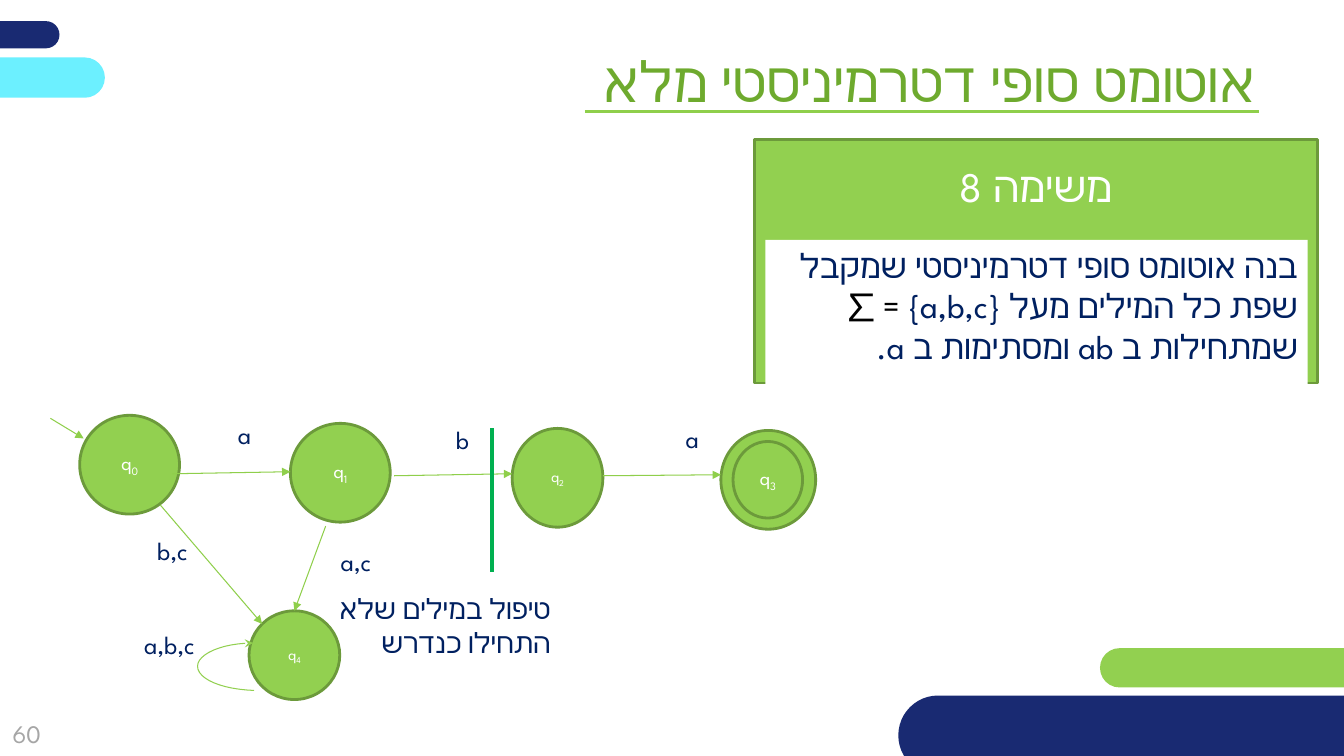
import pptx
import pptx.util
import pptx.dml.color
import pptx.enum.shapes
import pptx.enum.text
import pptx.oxml
import pptx.oxml.ns

Inches, Pt = pptx.util.Inches, pptx.util.Pt
RGB = pptx.dml.color.RGBColor
PRESET = pptx.enum.shapes.MSO_SHAPE
ALIGN = pptx.enum.text.PP_ALIGN
ANCHOR = pptx.enum.text.MSO_ANCHOR

FONT = "League Spartan"
NAVY, CYAN, GREEN = RGB(0x19, 0x2A, 0x72), RGB(0x6C, 0xF0, 0xFF), RGB(0x92, 0xD0, 0x50)
OUTLINE, ARROW, DIVIDER = RGB(0x6C, 0x9A, 0x3B), RGB(0x8F, 0xCF, 0x4B), RGB(0x00, 0xB0, 0x50)
TITLE, INK, GREY = RGB(0x6E, 0xAA, 0x2E), RGB(0x00, 0x20, 0x60), RGB(0xA6, 0xA6, 0xA6)
WHITE, BLACK = RGB(0xFF, 0xFF, 0xFF), RGB(0, 0, 0)

# Content: boxes are left, top, width, height in inches
HEADING = "אוטומט סופי דטרמיניסטי מלא"
TASK_NAME = "משימה 8"
TASK = [
    ("בנה אוטומט סופי דטרמיניסטי שמקבל שפת כל המילים מעל {a,b,c} ", INK),
    ("= ∑ ", BLACK),
    ("שמתחילות ב ab ומסתימות ב a.", INK),
]
NOTE = "טיפול במילים שלא התחילו כנדרש"
PAGE = "60"

BARS = [
    ((-2.66, 0.21, 3.25, 0.27), NAVY),
    ((10.91, 6.43, 5.21, 0.39), GREEN),
    ((-2.21, 0.57, 3.25, 0.4), CYAN),
    ((8.91, 6.9, 5.66, 0.79), NAVY),
]
# Index, box, text size; the accepting state has an outer ring without text
STATES = [
    ("", (7.15, 4.27, 0.94, 0.98), 14),
    ("0", (0.79, 4.12, 0.99, 0.98), 14),
    ("1", (2.88, 4.2, 0.99, 0.98), 14),
    ("2", (5.08, 4.25, 0.9, 0.98), 11),
    ("3", (7.27, 4.38, 0.69, 0.76), 14),
    ("4", (2.47, 6.06, 0.9, 0.88), 11),
]
TRANSITIONS = [
    ((0.5, 4.15), (0.83, 4.35)),
    ((1.71, 4.7), (2.88, 4.68)),
    ((3.91, 4.72), (5.08, 4.7)),
    ((5.98, 4.72), (7.15, 4.71)),
    ((1.59, 5.01), (2.6, 6.19)),
    ((3.23, 5.22), (2.92, 6.06)),
]
LABELS = [
    ("a", (2.12, 4.11, 0.47, 0.56)),
    ("b", (4.13, 4.16, 0.62, 0.56)),
    ("a", (6.27, 4.15, 0.76, 0.56)),
    ("b,c", (0.59, 5.26, 1.37, 0.56)),
    ("a,c", (2.41, 5.37, 1.37, 0.56)),
    ("a,b,c", (0.66, 6.19, 1.37, 0.56)),
]
# The loop on q4: two cubic curves
LOOP = [
    ((2.51, 6.38), (2.2, 6.38), (1.96, 6.49), (1.96, 6.61)),
    ((1.96, 6.61), (1.96, 6.74), (2.21, 6.84), (2.52, 6.85)),
]
LOOP_STEPS = 12

deck = pptx.Presentation()
deck.slide_width, deck.slide_height = Inches(13.33), Inches(7.5)
slide = deck.slides.add_slide(deck.slide_layouts[5])
shapes = slide.shapes


def inches(values):
    return [Inches(value) for value in values]


def add_run(paragraph, text, size, color):
    run = paragraph.add_run()
    run.text = text
    run.font.name, run.font.size = FONT, Pt(size)
    run.font.color.rgb = color
    script_font = pptx.oxml.parse_xml(
        f'<a:cs {pptx.oxml.ns.nsdecls("a")} typeface="{FONT}"/>')
    run.font._element.append(script_font)
    return run


def write(shape, parts, size, align=ALIGN.RIGHT, anchor=ANCHOR.TOP, rtl=True):
    frame = shape.text_frame
    frame.word_wrap, frame.vertical_anchor = True, anchor
    frame.auto_size = pptx.enum.text.MSO_AUTO_SIZE.NONE
    paragraph = frame.paragraphs[0]
    paragraph.alignment = align
    if rtl:
        paragraph._p.get_or_add_pPr().set("rtl", "1")
    return [add_run(paragraph, text, size, color) for text, color in parts]


def add_box(preset, box, fill, outline=None):
    shape = shapes.add_shape(preset, *inches(box))
    shape.shadow.inherit = False
    shape.fill.solid()
    shape.fill.fore_color.rgb = fill
    if outline:
        shape.line.color.rgb, shape.line.width = outline, Pt(2)
    else:
        shape.line.fill.background()
    return shape


def add_arrowhead(line, end, kind):
    line._get_or_add_ln().append(pptx.oxml.parse_xml(
        f'<a:{end} {pptx.oxml.ns.nsdecls("a")} type="{kind}"/>'))


def add_line(start, finish, color, width):
    connector = shapes.add_connector(
        pptx.enum.shapes.MSO_CONNECTOR.STRAIGHT, *inches(start + finish))
    connector.line.color.rgb, connector.line.width = color, Pt(width)
    connector._element.spPr.append(pptx.oxml.parse_xml(
        f'<a:effectLst {pptx.oxml.ns.nsdecls("a")}/>'))
    return connector


def curve_point(curve, t):
    weights = ((1 - t) ** 3, 3 * t * (1 - t) ** 2, 3 * t * t * (1 - t), t ** 3)
    return inches(sum(w * point[axis] for w, point in zip(weights, curve)) for axis in (0, 1))


# Corner bars and page number
for box, color in BARS:
    add_box(PRESET.ROUNDED_RECTANGLE, box, color).adjustments[0] = 0.5
page = shapes.add_textbox(*inches((-0.18, 6.99, 0.89, 0.57)))
write(page, [(PAGE, GREY)], 18, ALIGN.CENTER, ANCHOR.MIDDLE, rtl=False)

# Title and its underline
heading = shapes.title
heading.left, heading.top, heading.width, heading.height = inches((4.4, 0.41, 8.16, 0.77))
write(heading, [(HEADING, TITLE)], 40)
add_line((5.8, 1.11), (12.49, 1.11), ARROW, 2.25)

# Task card
card = add_box(PRESET.RECTANGLE, (7.48, 1.38, 5.59, 2.42), GREEN, OUTLINE)
write(card, [(TASK_NAME, WHITE)], 30, ALIGN.CENTER)
card.text_frame.margin_top = Inches(0.21)
task = add_box(PRESET.RECTANGLE, (7.59, 2.38, 5.38, 1.72), WHITE)
write(task, TASK, 24)

# Automaton states
for index, box, size in STATES:
    state = add_box(PRESET.OVAL, box, GREEN, OUTLINE)
    if index:
        runs = write(state, [("q", WHITE), (index, WHITE)], size, ALIGN.CENTER, ANCHOR.MIDDLE)
        runs[1].font._element.set("baseline", "-25000")

# Transitions, the loop and the divider
for start, finish in TRANSITIONS:
    add_arrowhead(add_line(start, finish, ARROW, 0.75).line, "tailEnd", "triangle")
add_line((4.88, 4.25), (4.88, 5.67), DIVIDER, 2.25)

loop_points = [curve_point(curve, step / LOOP_STEPS)
               for curve in LOOP for step in range(1, LOOP_STEPS + 1)]
loop_outline = shapes.build_freeform(*inches(LOOP[0][0]))
loop_outline.add_line_segments(loop_points, close=False)
loop = loop_outline.convert_to_shape()
loop.shadow.inherit = False
loop.fill.background()
loop.line.color.rgb, loop.line.width = GREEN, Pt(0.75)
add_arrowhead(loop.line, "headEnd", "stealth")

# Transition letters and the note
for letters, box in LABELS:
    write(shapes.add_textbox(*inches(box)), [(letters, INK)], 18)
write(shapes.add_textbox(*inches((3.23, 5.82, 2.33, 1.11))), [(NOTE, INK)], 20)

deck.save("out.pptx")
